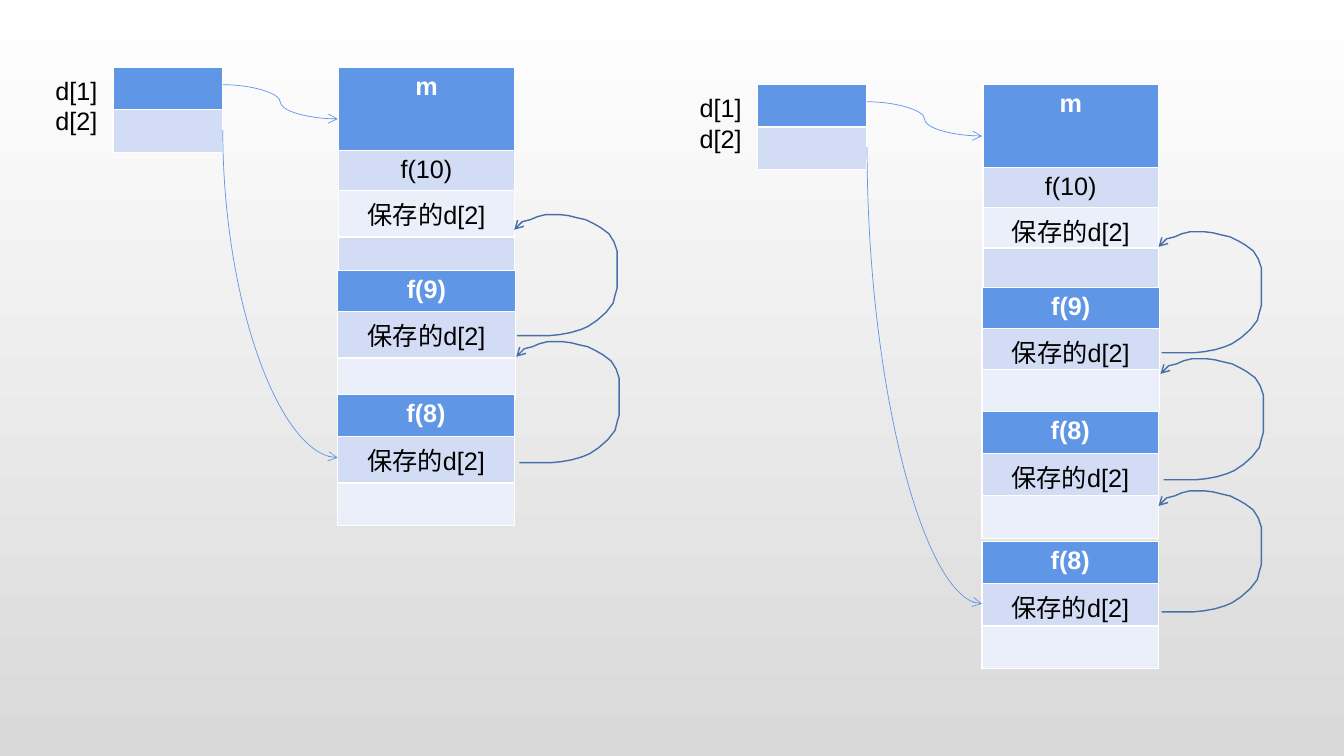
from dataclasses import dataclass

from lxml import etree
from pptx import Presentation
from pptx.dml.color import RGBColor
from pptx.enum.shapes import MSO_CONNECTOR
from pptx.enum.text import PP_ALIGN
from pptx.oxml.ns import qn
from pptx.util import Emu, Pt

PX = 9144  # 100 px to the inch
CURVE = MSO_CONNECTOR.CURVE
LEFT, CENTER = PP_ALIGN.LEFT, PP_ALIGN.CENTER


@dataclass(frozen=True)
class Theme:
    font: str = "Arial"
    size: int = 18
    header: str = "6096E6"
    bands: tuple[str, str] = ("D2DDF5", "EAEFFA")
    header_text: str = "FFFFFF"
    text: str = "000000"
    pointer: str = "6096E6"
    loop: str = "476FAA"
    pointer_width: float = 0.5
    loop_width: float = 1
    background: tuple[str, str] = ("FFFFFF", "D9D9D9")


@dataclass(frozen=True)
class Block:
    left: int
    top: int
    width: int
    heights: tuple[int, ...]
    captions: tuple[str, ...]


@dataclass(frozen=True)
class Diagram:
    dx: int
    dy: int
    blocks: tuple[Block, ...]
    loops: tuple[tuple[int, int], ...]
    top_frame_y: int


THEME = Theme()
SAVED = "保存的d[2]"

# Memory blocks, placed as in the left diagram
DISPLAY = Block(112, 67, 109, (42, 42), ("", ""))
MAIN = Block(336, 67, 174, (82, 40, 40, 40), ("m", "f(10)", SAVED, ""))
F9 = Block(335, 268, 176, (41,) * 3, ("f(9)", SAVED, ""))
F8 = Block(335, 391, 175, (42,) * 3, ("f(8)", SAVED, ""))
F8_AGAIN = Block(335, 520, 175, (42,) * 3, ("f(8)", SAVED, ""))

DIAGRAMS = (
    Diagram(0, 0, (DISPLAY, MAIN, F9, F8), ((510, 213), (512, 339)), 454),
    Diagram(639, 17, (DISPLAY, MAIN, F9, F8, F8_AGAIN),
            ((510, 213), (512, 339), (510, 470)), 582),
)

# Outline of a link back to the saved display entry
LOOP_POINTS = (
    (3, 120), (12, 120), (23, 120), (35, 120), (45, 119), (56, 117), (66, 114),
    (73, 111), (82, 105), (91, 97), (98, 88), (100, 80), (102, 73), (102, 63),
    (102, 54), (102, 45), (102, 36), (99, 27), (94, 19), (86, 13), (79, 9),
    (71, 5), (62, 3), (54, 1), (46, 0), (39, 0), (31, 0), (23, 2), (16, 5),
    (8, 7), (0, 15),
)


def px(length: float) -> Emu:
    return Emu(round(length * PX))


def rgb(color: str) -> RGBColor:
    return RGBColor.from_string(color)


def write(frame, text: str, *, color: str = THEME.text, bold: bool = False,
          align=LEFT) -> None:
    frame.text = text
    for paragraph in frame.paragraphs:
        paragraph.alignment = align
        font = paragraph.font
        font.name, font.size, font.bold = THEME.font, Pt(THEME.size), bold
        font.color.rgb = rgb(color)
        for run in paragraph.runs:
            run.font.name, run.font.size = THEME.font, Pt(THEME.size)
            run.font.bold = bold
            run.font.color.rgb = rgb(color)


def style_arrow(shape, color: str, width: float) -> None:
    shape.line.color.rgb = rgb(color)
    shape.line.width = Pt(width)
    outline = shape._element.spPr.find(qn("a:ln"))
    etree.SubElement(outline, qn("a:tailEnd"), type="arrow")


def draw_block(slide, block: Block, dx: int, dy: int) -> None:
    table = slide.shapes.add_table(
        len(block.heights), 1, px(block.left + dx), px(block.top + dy),
        px(block.width), px(sum(block.heights))).table
    for i, (height, caption) in enumerate(zip(block.heights, block.captions)):
        table.rows[i].height = px(height)
        cell = table.cell(i, 0)
        cell.fill.solid()
        is_header = i == 0
        cell.fill.fore_color.rgb = rgb(
            THEME.header if is_header else THEME.bands[(i - 1) % 2])
        write(cell.text_frame, caption, bold=is_header, align=CENTER,
              color=THEME.header_text if is_header else THEME.text)


def draw_pointer(slide, x1: float, y1: float, x2: float, y2: float):
    pointer = slide.shapes.add_connector(CURVE, px(x1), px(y1), px(x2), px(y2))
    style_arrow(pointer, THEME.pointer, THEME.pointer_width)
    etree.SubElement(pointer._element.spPr, qn("a:effectLst"))
    return pointer


def draw_falling_pointer(slide, x1: int, y1: int, x2: int, y2: int) -> None:
    """A quarter curve that leaves downwards: laid flat, then turned by 90°."""
    center_x, center_y = (x1 + x2) / 2, (y1 + y2) / 2
    half_run, half_drop = (x2 - x1) / 2, (y2 - y1) / 2
    pointer = draw_pointer(slide, center_x - half_drop, center_y + half_run,
                           center_x + half_drop, center_y - half_run)
    properties = pointer._element.spPr
    properties.find(qn("a:xfrm")).set("rot", "5400000")
    properties.find(qn("a:prstGeom")).set("prst", "curvedConnector2")


def draw_loop(slide, left: int, top: int) -> None:
    points = [(left + x, top + y) for x, y in LOOP_POINTS]
    builder = slide.shapes.build_freeform(*points[0], scale=PX)
    builder.add_line_segments(points[1:], close=False)
    loop = builder.convert_to_shape()
    loop.fill.background()
    loop.shadow.inherit = False
    style_arrow(loop, THEME.loop, THEME.loop_width)


def draw_diagram(slide, diagram: Diagram) -> None:
    dx, dy = diagram.dx, diagram.dy
    for block in diagram.blocks:
        draw_block(slide, block, dx, dy)

    # Display labels and pointers
    labels = slide.shapes.add_textbox(px(45 + dx), px(70 + dy), px(68), px(71))
    labels.text_frame.word_wrap = True
    write(labels.text_frame, "d[1]\nd[2]")
    start_x, end_x = 221 + dx, 335 + dx
    draw_pointer(slide, start_x, 84 + dy, end_x, 118 + dy)
    draw_falling_pointer(slide, start_x, 129 + dy, end_x, diagram.top_frame_y + dy)

    # Links between saved entries
    for left, top in diagram.loops:
        draw_loop(slide, left + dx, top + dy)


def main() -> None:
    deck = Presentation()
    deck.slide_width, deck.slide_height = px(1333), px(750)
    slide = deck.slides.add_slide(deck.slide_layouts[6])

    # Background
    fill = slide.background.fill
    fill.gradient()
    fill.gradient_angle = 270
    for stop, color in zip(fill.gradient_stops, THEME.background):
        stop.color.rgb = rgb(color)

    for diagram in DIAGRAMS:
        draw_diagram(slide, diagram)
    deck.save("out.pptx")


if __name__ == "__main__":
    main()
